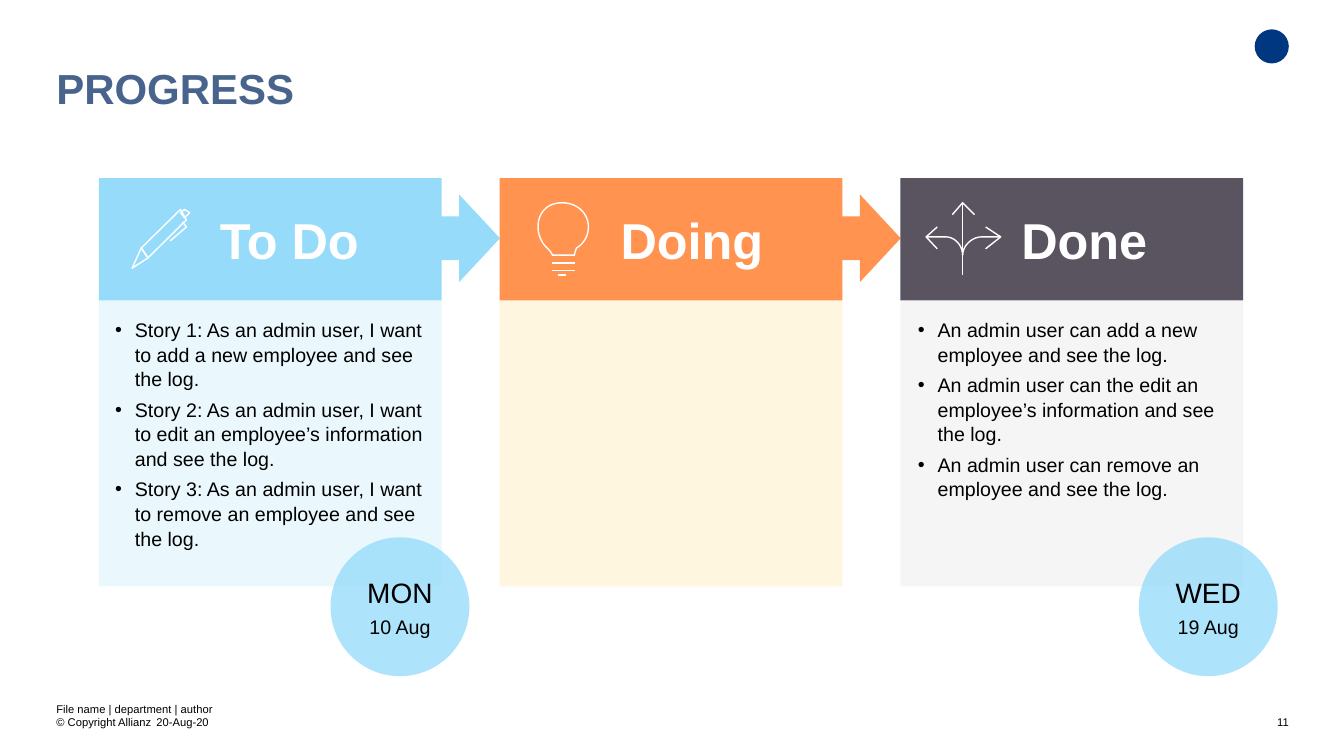
import pptx
import pptx.util
import pptx.dml.color
import pptx.enum.shapes
import pptx.enum.text
from lxml import etree
from pptx.util import Cm

KIND = pptx.enum.shapes.MSO_SHAPE
ALIGN = pptx.enum.text.PP_ALIGN
ANCHOR = pptx.enum.text.MSO_ANCHOR
NS = "{http://schemas.openxmlformats.org/drawingml/2006/main}"

# Column grid, in centimetres
LEFT, STEP, WIDE = 2.49, 10.1, 8.64
TOP, HEAD, BODY = 4.49, 3.08, 7.21
SKY, ORANGE, SLATE, WHITE, BLACK = "96DCFA", "FF934F", "5A5360", "FFFFFF", "000000"

COLUMNS = [("To Do", SKY, SKY), ("Doing", ORANGE, "FDD25C"), ("Done", SLATE, "D4CDCD")]
TODO = [
    "Story 1: As an admin user, I want to add a new employee and see the log.",
    "Story 2: As an admin user, I want to edit an employee’s information and see the log.",
    "Story 3: As an admin user, I want to remove an employee and see the log.",
]
DONE = [
    "An admin user can add a new employee and see the log.",
    "An admin user can the edit an employee’s information and see the log.",
    "An admin user can remove an employee and see the log.",
]

# Icon strokes: a pair is a line point, six numbers are a Bézier curve
PEN = [
    [(3.56, 6.25), (4.55, 5.28), (4.7, 5.54), (3.73, 6.5), (3.56, 6.25)],
    [(4.65, 5.49), (4.55, 5.36), (4.65, 5.28), (4.78, 5.36), (4.65, 5.49)],
    [(3.33, 6.76), (3.56, 6.25), (3.73, 6.5), (3.33, 6.76)],
    [(4.6, 5.59), (4.7, 5.72), (4.29, 6.07)],
]
BULB = [
    [(14.83, 5.72), (14.83, 5.36, 14.53, 5.11, 14.17, 5.11),
     (13.79, 5.11, 13.56, 5.36, 13.56, 5.72), (13.56, 5.94, 13.67, 6.15, 13.79, 6.25),
     (13.92, 6.38, 13.92, 6.43, 13.92, 6.43), (14.48, 6.43),
     (14.48, 6.43, 14.48, 6.38, 14.53, 6.25), (14.71, 6.15, 14.83, 5.94, 14.83, 5.72)],
    [(13.92, 6.63), (14.48, 6.63)],
    [(13.92, 6.81), (14.48, 6.81)],
    [(14.05, 6.93), (14.27, 6.93)],
]
FORK = [
    [(24.26, 5.11), (24.26, 6.93)],
    [(24.0, 5.41), (24.26, 5.11), (24.56, 5.41)],
    [(24.26, 6.43), (24.26, 6.2, 24.49, 5.97, 24.74, 5.97), (25.22, 5.97)],
    [(24.84, 5.72), (25.22, 5.97), (24.84, 6.27)],
    [(24.26, 6.43), (24.26, 6.2, 24.08, 5.97, 23.83, 5.97), (23.34, 5.97)],
    [(23.62, 5.72), (23.34, 5.97), (23.62, 6.27)],
]


def paint(color, code):
    color.rgb = pptx.dml.color.RGBColor.from_string(code)


def place(shape, x, y, w, h):
    shape.left, shape.top, shape.width, shape.height = Cm(x), Cm(y), Cm(w), Cm(h)


def block(slide, kind, x, y, w, h, code, alpha=100):
    shape = slide.shapes.add_shape(kind, Cm(x), Cm(y), Cm(w), Cm(h))
    shape.shadow.inherit = False
    shape.fill.solid()
    paint(shape.fill.fore_color, code)
    shape.line.fill.background()
    if alpha < 100:
        tint = shape.fill._xPr.find(f".//{NS}srgbClr")
        etree.SubElement(tint, NS + "alpha", val=str(alpha * 1000))
    return shape


def frame(shape, anchor, left=0, top=0, right=0, bottom=0):
    text = shape.text_frame
    text.word_wrap = True
    text.auto_size = pptx.enum.text.MSO_AUTO_SIZE.NONE
    text.vertical_anchor = anchor
    text.margin_left, text.margin_top = Cm(left), Cm(top)
    text.margin_right, text.margin_bottom = Cm(right), Cm(bottom)
    return text


def style(para, size, code, bold=False, align=ALIGN.LEFT):
    para.alignment = align
    para.font.name = "Arial"
    para.font.size = pptx.util.Pt(size)
    para.font.bold = bold
    paint(para.font.color, code)


def space(paras):
    for i, para in enumerate(paras):
        para.space_before = pptx.util.Pt(2 if i else 0)
        para.space_after = pptx.util.Pt(2)


def label(slide, text, x, y, w, h, size, code, bold=False, align=ALIGN.LEFT,
          anchor=ANCHOR.TOP):
    box = slide.shapes.add_textbox(Cm(x), Cm(y), Cm(w), Cm(h))
    para = frame(box, anchor).paragraphs[0]
    para.text = text
    style(para, size, code, bold, align)


def bullets(slide, box, x, items):
    slide.shapes._spTree.append(box._element)  # bring in front of the panels
    place(box, x, TOP + HEAD, WIDE, 6.63)
    text = frame(box, ANCHOR.TOP, 0.41, 0.41, 0.41)
    text.text = "\n".join(items)
    space(text.paragraphs)
    for para in text.paragraphs:
        para.line_spacing = 1.05
        props = para._p.get_or_add_pPr()
        props.set("marL", str(Cm(0.5)))
        props.set("indent", str(-Cm(0.5)))
        etree.SubElement(props, NS + "buChar", char="•")
        style(para, 14, BLACK)


def badge(slide, x, day, date):
    disc = block(slide, KIND.OVAL, x, 13.54, 3.5, 3.5, SKY, 78)
    text = frame(disc, ANCHOR.MIDDLE, 0.25, 0.13, 0.25, 0.13)
    text.text = day + "\n" + date
    space(text.paragraphs)
    for para, size in zip(text.paragraphs, (20, 14)):
        style(para, size, BLACK, align=ALIGN.CENTER)


def trace(stroke):
    spots = [stroke[0]]
    for part in stroke[1:]:
        if len(part) == 2:
            spots.append(part)
            continue
        ends = [spots[-1], part[:2], part[2:4], part[4:]]
        for t in (i / 12 for i in range(1, 13)):
            mix = ((1 - t) ** 3, 3 * t * (1 - t) ** 2, 3 * t * t * (1 - t), t ** 3)
            spots.append(tuple(sum(m * e[k] for m, e in zip(mix, ends)) for k in (0, 1)))
    return [(Cm(x), Cm(y)) for x, y in spots]


def icon(slide, strokes):
    group = slide.shapes.add_group_shape()
    for stroke in strokes:
        spots = trace(stroke)
        if len(spots) == 2:
            shape = group.shapes.add_connector(
                pptx.enum.shapes.MSO_CONNECTOR.STRAIGHT, *spots[0], *spots[1])
        else:
            path = group.shapes.build_freeform(*spots[0])
            path.add_line_segments(spots[1:], close=stroke[0] == stroke[-1][-2:])
            shape = path.convert_to_shape()
            shape.fill.background()
        paint(shape.line.color, WHITE)
        shape.line.width = pptx.util.Pt(1)
        etree.SubElement(shape._element.spPr, NS + "effectLst")


def main():
    deck = pptx.Presentation()
    deck.slide_width, deck.slide_height = Cm(33.87), Cm(19.05)
    slide = deck.slides.add_slide(deck.slide_layouts[3])
    title, todo, done = slide.placeholders

    # Title and corner mark
    place(title, 1.42, 1.42, 29.64, 1.42)
    para = frame(title, ANCHOR.BOTTOM, top=0.1).paragraphs[0]
    para.text = "PROGRESS"
    style(para, 30, "49648C", True)
    block(slide, KIND.OVAL, 31.62, 0.74, 0.86, 0.86, "003781")

    # Columns with headings and arrows
    for i, (name, code, pale) in enumerate(COLUMNS):
        x = LEFT + i * STEP
        block(slide, KIND.RECTANGLE, x, TOP, WIDE, HEAD, code)
        block(slide, KIND.RECTANGLE, x, TOP + HEAD, WIDE, BODY, pale, 20)
        label(slide, name, x + 3.05, 4.53, 5.59, 3.02, 36, WHITE, True,
              anchor=ANCHOR.MIDDLE)
        if i < len(COLUMNS) - 1:
            block(slide, KIND.RIGHT_ARROW, x + 8.05, 4.9, 2.06, 2.21, code)

    # Lists, icons and dates
    bullets(slide, todo, LEFT, TODO)
    bullets(slide, done, LEFT + 2 * STEP + 0.03, DONE)
    for strokes in (PEN, BULB, FORK):
        icon(slide, strokes)
    badge(slide, 8.33, "MON", "10 Aug")
    badge(slide, 28.7, "WED", "19 Aug")

    # Footer
    label(slide, "File name | department | author", 1.42, 17.7, 15.57, 0.35, 8, BLACK)
    label(slide, "© Copyright Allianz", 1.42, 18.03, 2.5, 0.35, 8, BLACK)
    label(slide, "20-Aug-20", 3.94, 18.03, 3.63, 0.35, 8, BLACK)
    label(slide, "11", 31.06, 18.03, 1.42, 1.0, 8, BLACK, align=ALIGN.RIGHT)

    deck.save("out.pptx")


if __name__ == "__main__":
    main()
